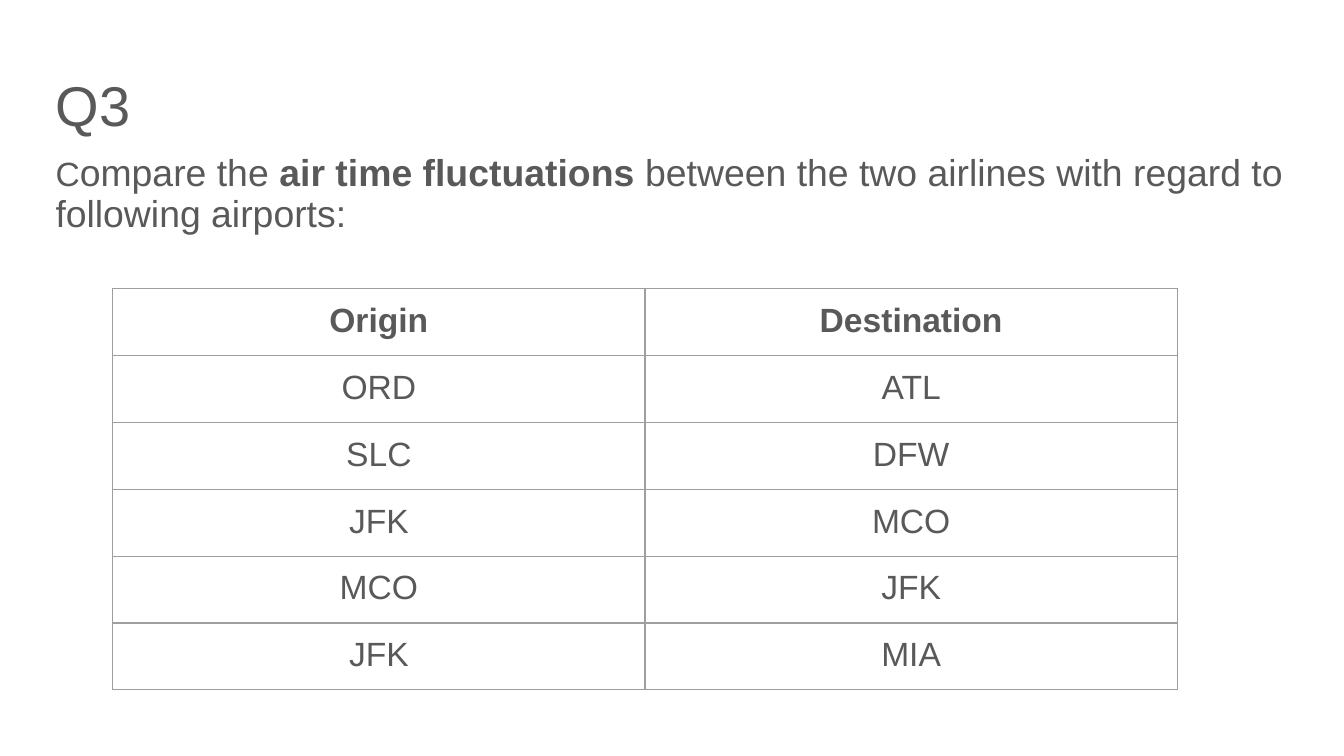
from lxml import etree
from pptx import Presentation
from pptx.dml.color import RGBColor
from pptx.enum import text
from pptx.oxml import ns
from pptx.util import Cm, Pt

GREY = "595959"
RULE = "9E9E9E"
ROUTES = [
    ("Origin", "Destination"),
    ("ORD", "ATL"),
    ("SLC", "DFW"),
    ("JFK", "MCO"),
    ("MCO", "JFK"),
    ("JFK", "MIA"),
]
QUESTION = [
    ("C", 18, False),
    ("ompare the ", 20, False),
    ("air time fluctuations", 20, True),
    (" between the two airlines with regard to following airports:", 20, False),
]


def color(value):
    return RGBColor.from_string(value)


def style(run, size, bold=False):
    run.font.name = "Arial"
    run.font.size = Pt(size)
    run.font.bold = bold
    run.font.color.rgb = color(GREY)


def set_insets(holder, horizontal, vertical):
    holder.margin_left = holder.margin_right = Cm(horizontal)
    holder.margin_top = holder.margin_bottom = Cm(vertical)


def add_frame(slide, left, top, width, height, anchor):
    frame = slide.shapes.add_textbox(Cm(left), Cm(top), Cm(width), Cm(height)).text_frame
    frame.word_wrap = True
    frame.vertical_anchor = anchor
    set_insets(frame, 0.18, 0.1)
    frame.paragraphs[0].line_spacing = 0.9
    return frame


def add_heading(slide, left, top, width, height):
    heading = add_frame(slide, left, top, width, height, text.MSO_ANCHOR.MIDDLE)
    heading.paragraphs[0].text = "Q3"
    style(heading.paragraphs[0].runs[0], 30)


def add_question(slide, left, top, width, height):
    question = add_frame(slide, left, top, width, height, text.MSO_ANCHOR.TOP)
    sentence = question.paragraphs[0]
    sentence.space_before = Pt(8)
    for words, size, bold in QUESTION:
        run = sentence.add_run()
        run.text = words
        style(run, size, bold)


def add_borders(cell):
    properties = cell._tc.get_or_add_tcPr()
    for side in ("lnL", "lnR", "lnT", "lnB"):
        border = etree.SubElement(properties, ns.qn(f"a:{side}"), w=str(Pt(0.75)))
        fill = etree.SubElement(border, ns.qn("a:solidFill"))
        etree.SubElement(fill, ns.qn("a:srgbClr"), val=RULE)


def add_routes(slide, left, top, width, height):
    routes = slide.shapes.add_table(
        len(ROUTES), len(ROUTES[0]), Cm(left), Cm(top), Cm(width), Cm(height)
    ).table
    routes.first_row = routes.horz_banding = False
    for row, airports in enumerate(ROUTES):
        for column, airport in enumerate(airports):
            cell = routes.cell(row, column)
            set_insets(cell, 0.25, 0.25)
            add_borders(cell)
            cell.fill.background()
            label = cell.text_frame.paragraphs[0]
            label.text = airport
            label.alignment = text.PP_ALIGN.CENTER
            style(label.runs[0], 18, bold=row == 0)


def main():
    deck = Presentation()
    deck.slide_width, deck.slide_height = Cm(25.4), Cm(14.29)
    slide = deck.slides.add_slide(deck.slide_layouts[6])
    add_heading(slide, 0.87, 1.24, 23.67, 1.6)
    add_question(slide, 0.87, 2.82, 23.67, 9.5)
    add_routes(slide, 2.13, 5.46, 20.12, 6.4)
    deck.save("out.pptx")


if __name__ == "__main__":
    main()
